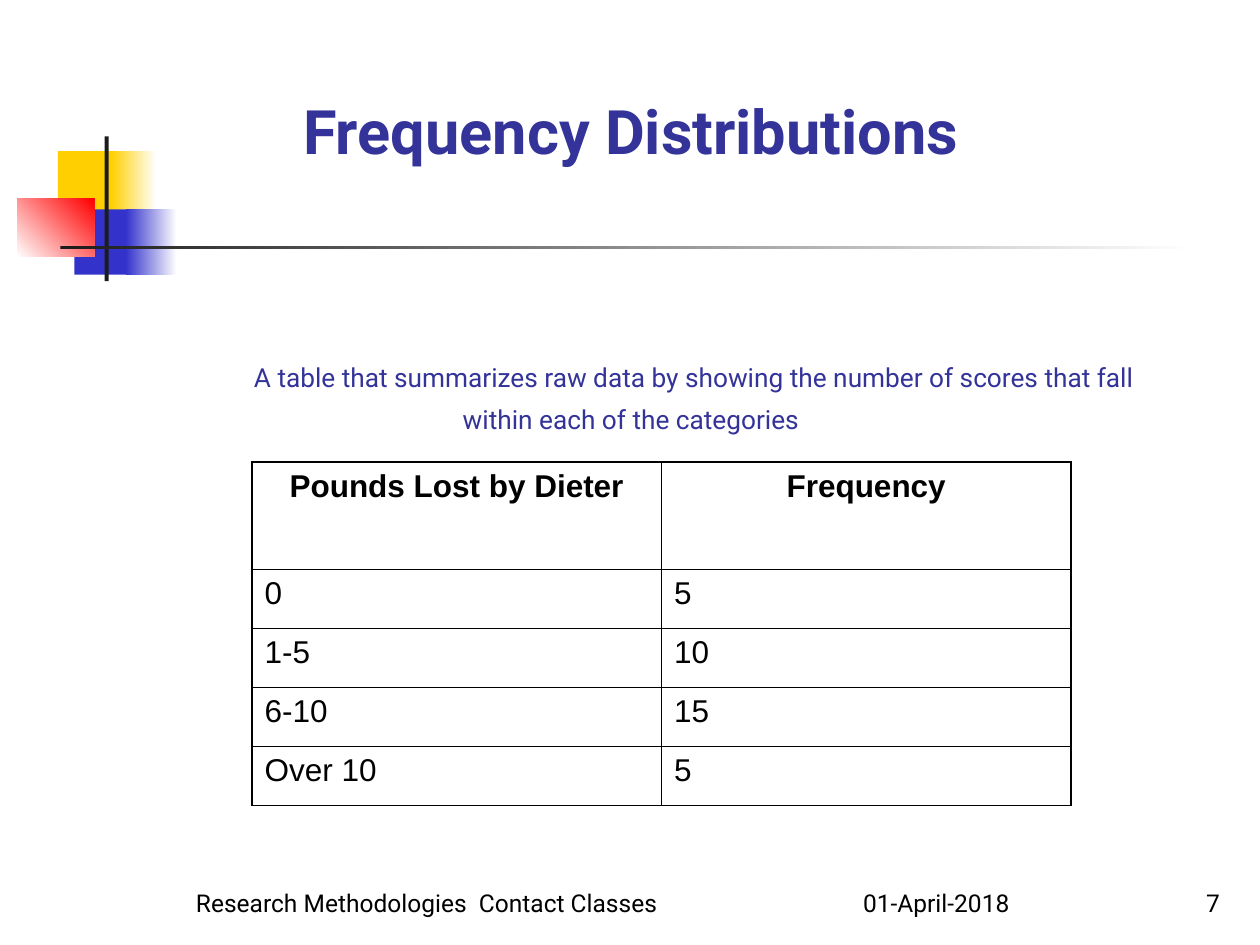
from lxml.etree import SubElement
from pptx import Presentation
from pptx.dml.color import RGBColor
from pptx.enum.shapes import MSO_SHAPE
from pptx.enum.text import MSO_ANCHOR, PP_ALIGN
from pptx.oxml.ns import qn
from pptx.util import Cm, Pt

INK = "000000"
HEADING = "333399"
THICK = 1.08
THIN = 0.45

MOTIF = [
    ((1.17, 3.05, 1.22, 1.32), ["FFCF01"], 0),
    ((2.24, 3.05, 0.91, 1.32), ["FFCF01", "FFFFFF"], 0),
    ((1.5, 4.22, 1.17, 1.32), ["3333CC"], 0),
    ((2.54, 4.22, 1.02, 1.32), ["3333CC", "FFFFFF"], 0),
    ((0.35, 4.01, 1.55, 1.17), ["FFFFFF", "FF0000"], 45),
    ((2.11, 2.75, 0.08, 2.92), ["1C1C1C"], 0),
    ((1.22, 4.95, 22.86, 0.08), ["1C1C1C", "FFFFFF"], 0),
]

FREQUENCIES = [
    ("Pounds Lost by Dieter", "Frequency"),
    ("0", "5"),
    ("1-5", "10"),
    ("6-10", "15"),
    ("Over 10", "5"),
]


def color(value):
    return RGBColor.from_string(value)


def add_run(paragraph, text, size, font, ink, bold=False):
    run = paragraph.add_run()
    run.text = text
    run.font.size = Pt(size)
    run.font.name = font
    run.font.bold = bold
    run.font.color.rgb = color(ink)


def add_tab_stop(paragraph, position):
    stops = SubElement(paragraph._p.get_or_add_pPr(), qn("a:tabLst"))
    SubElement(stops, qn("a:tab"), pos=str(position), algn="l")


def add_motif_block(slide, box, colors, angle):
    block = slide.shapes.add_shape(MSO_SHAPE.RECTANGLE, *map(Cm, box))
    block.shadow.inherit = False
    block.line.fill.background()
    if len(colors) == 1:
        block.fill.solid()
        block.fill.fore_color.rgb = color(colors[0])
        return
    block.fill.gradient()
    block.fill.gradient_angle = angle
    for position, (stop, value) in enumerate(zip(block.fill.gradient_stops, colors)):
        stop.position = position
        stop.color.rgb = color(value)


def fill_title(title):
    title.left, title.top, title.width, title.height = map(Cm, (1.9, 5.72, 21.64, 3.81))
    frame = title.text_frame
    frame.word_wrap = True
    frame.vertical_anchor = MSO_ANCHOR.BOTTOM
    frame.margin_bottom = Cm(0.76)
    heading = frame.paragraphs[0]
    heading.alignment = PP_ALIGN.CENTER
    add_run(heading, "Frequency Distributions", 35, "Roboto", HEADING, True)
    definition = frame.add_paragraph()
    add_tab_stop(definition, Cm(2.54))
    definition.alignment = PP_ALIGN.CENTER
    definition.line_spacing = Pt(24)
    definition.space_before = Pt(105)
    add_run(
        definition,
        "\tA table that summarizes raw data by showing the number of scores "
        "that fall within each of the categories",
        15, "Roboto", HEADING,
    )


def set_borders(cell, widths):
    properties = cell._tc.get_or_add_tcPr()
    for side, width in widths.items():
        line = SubElement(properties, qn(f"a:ln{side}"), w=str(Pt(width)))
        fill = SubElement(line, qn("a:solidFill"))
        SubElement(fill, qn("a:srgbClr"), val=INK)


def add_frequency_table(slide):
    last_row, last_column = len(FREQUENCIES) - 1, len(FREQUENCIES[0]) - 1
    table = slide.shapes.add_table(
        last_row + 1, last_column + 1, Cm(5.08), Cm(9.32), Cm(16.51), Cm(6.92)
    ).table
    table.first_row = False
    table.horz_banding = False
    for r, record in enumerate(FREQUENCIES):
        header = r == 0
        table.rows[r].height = Cm(2.16 if header else 1.19)
        for c, value in enumerate(record):
            cell = table.cell(r, c)
            set_borders(cell, {
                "L": THICK if c == 0 else THIN,
                "R": THICK if c == last_column else THIN,
                "T": THICK if header else THIN,
                "B": THICK if r == last_row else THIN,
            })
            cell.fill.background()
            paragraph = cell.text_frame.paragraphs[0]
            paragraph.alignment = PP_ALIGN.CENTER if header else PP_ALIGN.LEFT
            add_run(paragraph, value, 18, "Arial", INK, header)


def add_footer(slide, left, width, text, alignment, inset=0.25, tab=None):
    frame = slide.shapes.add_textbox(Cm(left), Cm(17.35), Cm(width), Cm(1.27)).text_frame
    frame.word_wrap = True
    frame.vertical_anchor = MSO_ANCHOR.BOTTOM
    frame.margin_left = Cm(inset)
    paragraph = frame.paragraphs[0]
    if tab:
        add_tab_stop(paragraph, Cm(tab))
    paragraph.alignment = alignment
    add_run(paragraph, text, 14, "Roboto", INK)


def main():
    deck = Presentation()
    deck.slide_width, deck.slide_height = Cm(25.4), Cm(19.05)
    slide = deck.slides.add_slide(deck.slide_layouts[5])
    for box, colors, angle in MOTIF:
        add_motif_block(slide, box, colors, angle)
    fill_title(slide.shapes.title)
    add_frequency_table(slide)
    add_footer(
        slide, 0.61, 23.09, "Research Methodologies  Contact Classes\t01-April-2018",
        PP_ALIGN.LEFT, inset=3.34, tab=13.45,
    )
    add_footer(slide, 19.56, 5.28, "7", PP_ALIGN.RIGHT)
    deck.save("out.pptx")


if __name__ == "__main__":
    main()
